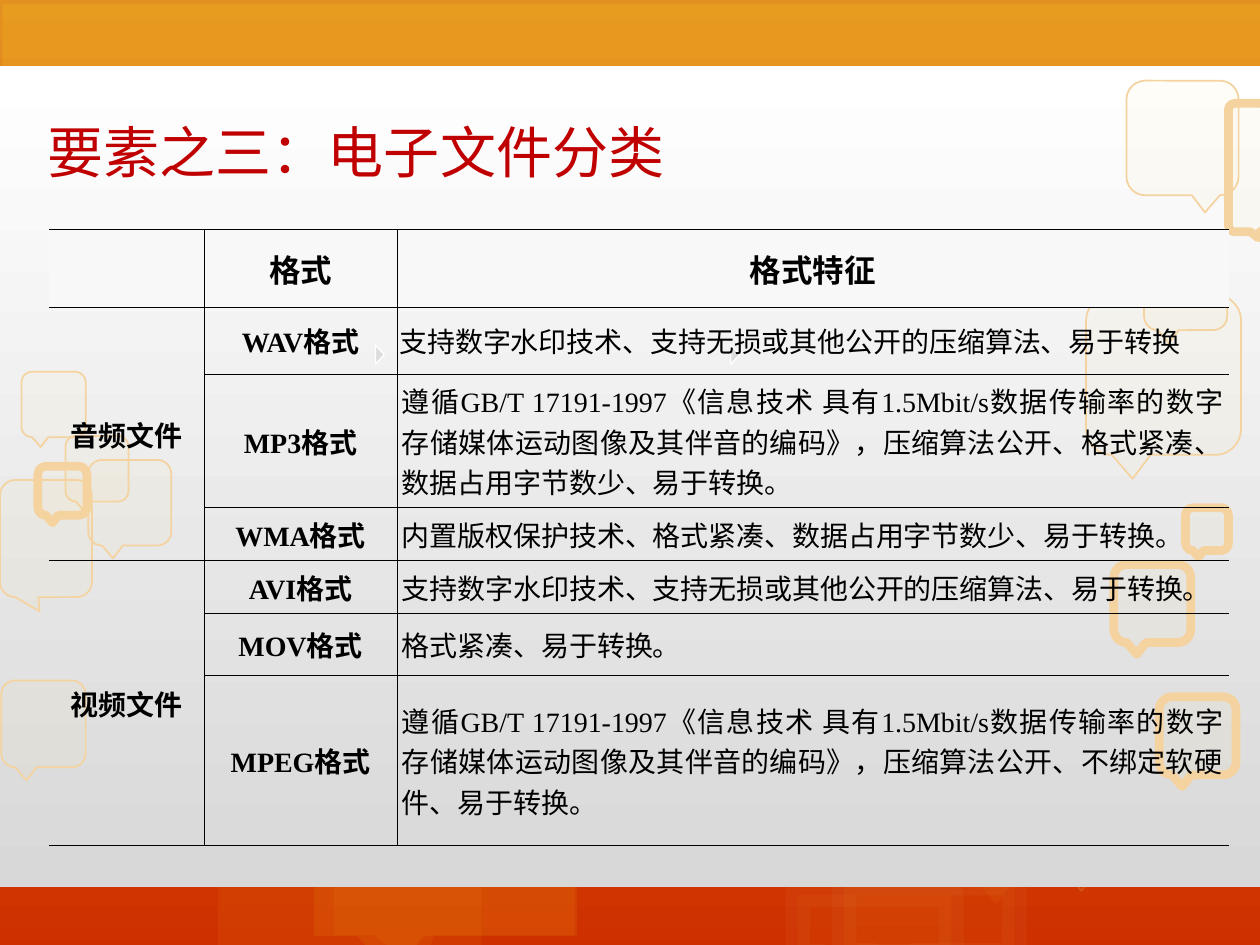
from dataclasses import dataclass

from lxml.etree import SubElement
from pptx import Presentation
from pptx.dml.color import RGBColor
from pptx.enum.shapes import MSO_SHAPE as Shape
from pptx.enum.text import MSO_ANCHOR as Anchor, PP_ALIGN as Align
from pptx.oxml import parse_xml
from pptx.oxml.ns import nsdecls, qn
from pptx.util import Inches, Pt


@dataclass(frozen=True)
class Theme:
    band_top: str = "E29121"
    band_bottom: str = "CE3000"
    panel_top: str = "FFFFFF"
    panel_bottom: str = "D8D8D8"
    glow: str = "FDC51B"
    glow_line: str = "FEEAAC"
    bubble: str = "FFE181"
    bubble_line: str = "F5D3A1"
    marker: str = "DDDDDD"
    title: str = "C00000"
    ink: str = "000000"
    header_fill: str = "F8F8F8"
    latin: str = "Times New Roman"
    chinese: str = "Noto Sans CJK SC"
    title_size: float = 32
    header_size: float = 18
    body_size: float = 16
    border: float = 0.45


THEME = Theme()

# left, top, width, height, opacity, tail, line width, line opacity
BAND_CALLOUTS = [
    (2.65, 5.33, 1.91, 2.09, 7, (-0.139, 0.637), 0, 0),
    (2.49, 5.34, 2.09, 2.09, 10, (-0.2, 0.65), 0, 0),
    (0.02, 0.03, 10.04, 2.09, 20, (-0.197, 0.45), 0, 0),
    (7.28, 4.77, 2.09, 2.09, 5, (-0.2, 0.65), 0, 0),
    (6.33, 7.1, 1.22, 0.49, 5, (-0.2, 0.65), 14, 3),
    (6.7, 7.01, 1.35, 0.57, 5, (-0.2, 0.65), 14, 3),
    (8.34, 6.14, 0.81, 0.81, 5, (-0.2, 0.65), 1, 14),
    (1.73, 5.97, 2.09, 1.61, 7, (-0.2, 0.65), 0, 0),
]

# left, top, width, height, line width, tail
BUBBLES = [
    (0.01, 5.4, 0.67, 0.69, 1, (-0.2, 0.65)),
    (8.62, 2.34, 1.23, 1.27, 1, (-0.2, 0.65)),
    (9.75, 0.82, 0.3, 1.02, 5, (0.286, 0.546)),
    (9.08, 1.94, 0.66, 0.68, 1, (-0.2, 0.65)),
    (8.94, 0.64, 0.89, 0.91, 1, (0.2, 0.65)),
    (8.84, 4.48, 0.61, 0.62, 5, (-0.2, 0.65)),
    (9.2, 5.53, 0.61, 0.62, 5, (-0.2, 0.65)),
    (9.41, 4.03, 0.34, 0.34, 5, (-0.2, 0.65)),
    (0.17, 2.95, 0.51, 0.52, 1, (-0.2, 0.65)),
    (0.52, 3.46, 0.5, 0.52, 1, (-0.2, 0.65)),
    (0.3, 3.7, 0.39, 0.39, 5, (-0.2, 0.65)),
    (0.7, 3.65, 0.66, 0.68, 1, (-0.2, 0.65)),
    (0, 3.81, 0.73, 0.93, 1, (-0.068, 0.622)),
]

STANDARD = "遵循GB/T 17191-1997《信息技术 具有1.5Mbit/s数据传输率的数字存储媒体运动图像及其伴音的编码》，压缩算法公开、"
WATERMARK = "支持数字水印技术、支持无损或其他公开的压缩算法、易于转换"
COLUMNS = [1.23, 1.53, 6.6]
ROW_HEIGHTS = [0.62, 0.53, 0.97, 0.39, 0.39, 0.49, 1.35]
ROWS = [
    ("", "格式", "格式特征"),
    ("音频文件", "WAV格式", WATERMARK),
    ("", "MP3格式", STANDARD + "格式紧凑、数据占用字节数少、易于转换。"),
    ("", "WMA格式", "内置版权保护技术、格式紧凑、数据占用字节数少、易于转换。"),
    ("视频文件", "AVI格式", WATERMARK + "。"),
    ("", "MOV格式", "格式紧凑、易于转换。"),
    ("", "MPEG格式", STANDARD + "不绑定软硬件、易于转换。"),
]


def rgb(value):
    return RGBColor.from_string(value)


def set_opacity(element, percent):
    for color in element.iter(qn("a:srgbClr")):
        SubElement(color, qn("a:alpha")).set("val", str(percent * 1000))


def paint_gradient(fill, top, bottom):
    fill.gradient()
    fill.gradient_angle = 270
    for stop, color in zip(fill.gradient_stops, (top, bottom)):
        stop.color.rgb = rgb(color)


def write_text(frame, text, *, size, color, font=THEME.latin, bold=False, align=Align.LEFT):
    paragraph = frame.paragraphs[0]
    paragraph.alignment = align
    run = paragraph.add_run()
    run.text = text
    run.font.name, run.font.size, run.font.bold = font, Pt(size), bold
    run.font.color.rgb = rgb(color)
    SubElement(run.font._element, qn("a:ea")).set("typeface", THEME.chinese)
    return paragraph


def add_figure(slide, kind, box, *, fill=None, opacity=100, line=None, line_width=0, line_opacity=100):
    shape = slide.shapes.add_shape(kind, *(Inches(value) for value in box))
    shape.shadow.inherit = False
    if fill:
        shape.fill.solid()
        shape.fill.fore_color.rgb = rgb(fill)
        if opacity < 100:
            set_opacity(shape.fill._xPr.find(qn("a:solidFill")), opacity)
    if line_width:
        shape.line.color.rgb = rgb(line)
        shape.line.width = Pt(line_width)
        if line_opacity < 100:
            set_opacity(shape.line._ln, line_opacity)
    else:
        shape.line.fill.background()
    return shape


def point_tail(shape, tail):
    shape.adjustments[0], shape.adjustments[1] = tail


def add_background(slide):
    paint_gradient(slide.background.fill, THEME.band_top, THEME.band_bottom)
    for *box, opacity, tail, width, line_opacity in BAND_CALLOUTS:
        line = THEME.bubble if width == 1 else THEME.glow_line
        fill = THEME.bubble if width == 1 else THEME.glow
        callout = add_figure(slide, Shape.RECTANGULAR_CALLOUT, box, fill=fill, opacity=opacity,
                             line=line, line_width=width, line_opacity=line_opacity)
        point_tail(callout, tail)
    panel = add_figure(slide, Shape.RECTANGLE, (0, 0.52, 10, 6.52))
    paint_gradient(panel.fill, THEME.panel_top, THEME.panel_bottom)
    for *box, width, tail in BUBBLES:
        bubble = add_figure(slide, Shape.ROUNDED_RECTANGULAR_CALLOUT, box, fill=THEME.bubble,
                            opacity=5, line=THEME.bubble_line, line_width=width)
        point_tail(bubble, tail)


def add_title(slide, text):
    title = slide.shapes.title
    title.left, title.top, title.width, title.height = map(Inches, (0.28, 0.77, 10.39, 0.75))
    title.text_frame.vertical_anchor = Anchor.BOTTOM
    paragraph = write_text(title.text_frame, text, size=THEME.title_size,
                           color=THEME.title, font=THEME.chinese)
    properties = paragraph._p.get_or_add_pPr()
    properties.set("marL", str(Inches(0.5)))
    properties.set("indent", str(-Inches(0.5)))
    # Bring the title in front of the background shapes
    slide.shapes._spTree.append(title._element)


def set_borders(cell, hidden_side):
    properties = cell._tc.get_or_add_tcPr()
    for index, side in enumerate("LRTB"):
        fill = f'<a:solidFill><a:srgbClr val="{THEME.ink}"/></a:solidFill>'
        if side == hidden_side:
            fill = "<a:noFill/>"
        properties.insert(index, parse_xml(
            f'<a:ln{side} {nsdecls("a")} w="{Pt(THEME.border)}">{fill}</a:ln{side}>'))


def add_format_table(slide):
    frame = slide.shapes.add_table(len(ROWS), len(COLUMNS), Inches(0.39), Inches(1.82),
                                   Inches(sum(COLUMNS)), Inches(sum(ROW_HEIGHTS)))
    table = frame.table
    table.first_row = table.horz_banding = False
    for column, width in zip(table.columns, COLUMNS):
        column.width = Inches(width)
    for row, height in zip(table.rows, ROW_HEIGHTS):
        row.height = Inches(height)
    for first in (1, 4):
        table.cell(first, 0).merge(table.cell(first + 2, 0))
    for i, texts in enumerate(ROWS):
        for j, text in enumerate(texts):
            cell = table.cell(i, j)
            cell.vertical_anchor = Anchor.MIDDLE
            cell.margin_left = cell.margin_right = Inches(0.02 if i < 2 else 0.04)
            if i == 0:
                cell.fill.solid()
                cell.fill.fore_color.rgb = rgb(THEME.header_fill)
            else:
                cell.fill.background()
            set_borders(cell, {0: "L", 2: "R"}.get(j))
            if text:
                feature = i > 0 and j == 2
                write_text(cell.text_frame, text, color=THEME.ink, bold=not feature,
                           size=THEME.body_size if i else THEME.header_size,
                           align=Align.JUSTIFY if feature else Align.CENTER)


def main():
    presentation = Presentation()
    presentation.slide_width, presentation.slide_height = Inches(10), Inches(7.5)
    slide = presentation.slides.add_slide(presentation.slide_layouts[5])
    add_background(slide)
    add_title(slide, "要素之三：电子文件分类")
    # Small arrow markers behind the table
    for left in (2.94, 5.76):
        marker = add_figure(slide, Shape.ISOSCELES_TRIANGLE, (left, 2.78, 0.15, 0.07),
                            fill=THEME.marker, line=THEME.panel_top, line_width=0.75)
        marker.rotation = 90
    add_format_table(slide)
    presentation.save("out.pptx")


if __name__ == "__main__":
    main()
